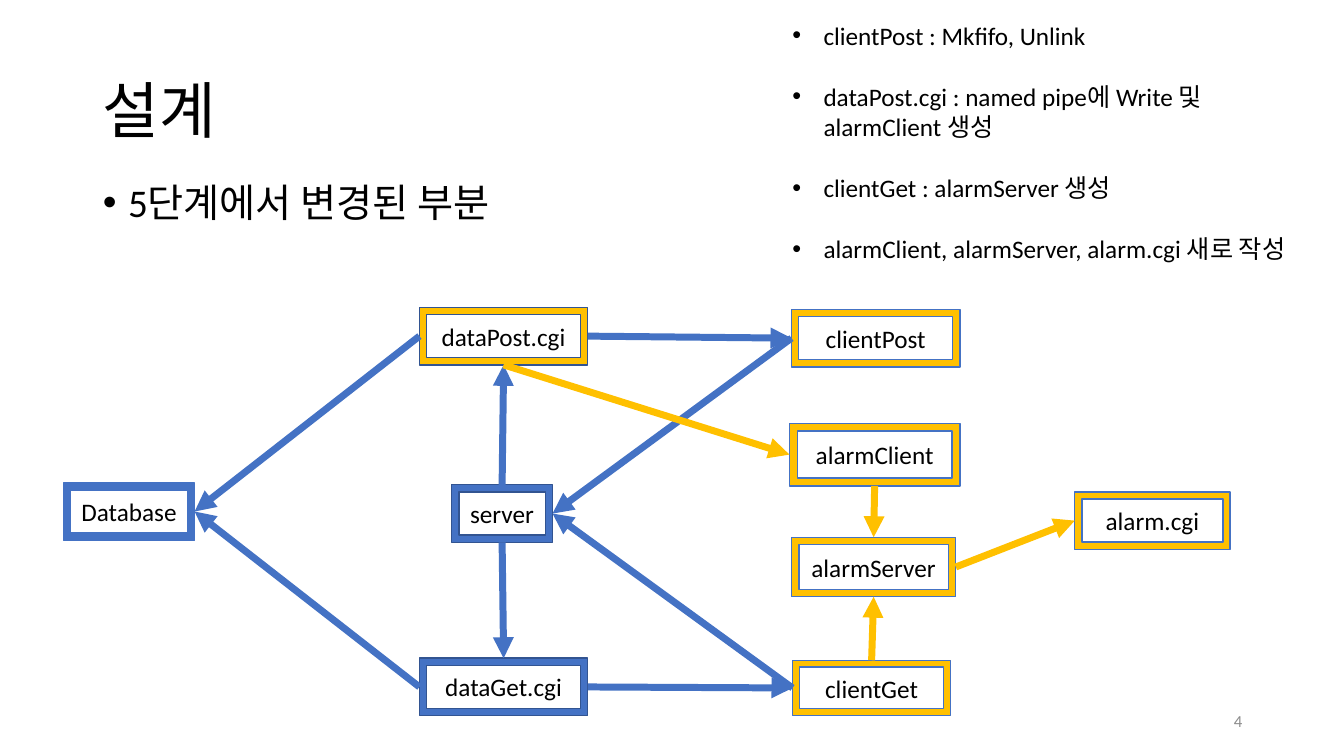
from dataclasses import dataclass

from lxml import etree
from pptx import Presentation
from pptx import util as u
from pptx.dml import color as clr
from pptx.enum import dml, shapes as sh, text as tx
from pptx.oxml import ns
from pptx.shapes import autoshape as auto, shapetree as tree
from pptx.text import text as body_text

BLACK = clr.RGBColor(0x00, 0x00, 0x00)
GRAY = clr.RGBColor(0x8C, 0x8C, 0x8C)
BLUE = clr.RGBColor(0x44, 0x72, 0xC4)
NAVY = clr.RGBColor(0x32, 0x54, 0x91)
AMBER = clr.RGBColor(0xFF, 0xC0, 0x00)
FONT = "Calibri"
TOP, LEFT, BOTTOM, RIGHT = range(4)


@dataclass(frozen=True)
class Program:
    name: str
    left: float
    top: float
    width: float
    height: float = 0.57
    fill: clr.RGBColor = AMBER
    outline: clr.RGBColor = BLUE


@dataclass(frozen=True)
class Flow:
    source: str
    source_side: int
    target: str
    target_side: int
    color: clr.RGBColor = BLUE


PROGRAMS = [
    Program("dataPost.cgi", 4.16, 3.05, 1.67, outline=NAVY),
    Program("dataGet.cgi", 4.16, 6.53, 1.67, fill=BLUE, outline=NAVY),
    Program("server", 4.48, 4.81, 1.0, fill=BLUE, outline=NAVY),
    Program("clientPost", 7.85, 3.07, 1.67),
    Program("clientGet", 7.86, 6.55, 1.57, 0.55),
    Program("Database", 0.63, 4.79, 1.3, fill=BLUE),
    Program("alarm.cgi", 10.66, 4.88, 1.54),
    Program("alarmServer", 7.85, 5.33, 1.63, 0.59),
    Program("alarmClient", 7.83, 4.2, 1.69, 0.62),
]

FLOWS = [
    Flow("clientPost", LEFT, "server", RIGHT),
    Flow("clientGet", LEFT, "server", RIGHT),
    Flow("server", TOP, "dataPost.cgi", BOTTOM),
    Flow("server", BOTTOM, "dataGet.cgi", TOP),
    Flow("dataPost.cgi", RIGHT, "clientPost", LEFT),
    Flow("dataGet.cgi", RIGHT, "clientGet", LEFT),
    Flow("dataPost.cgi", LEFT, "Database", RIGHT),
    Flow("dataGet.cgi", LEFT, "Database", RIGHT),
    Flow("dataPost.cgi", BOTTOM, "alarmClient", LEFT, AMBER),
    Flow("clientGet", TOP, "alarmServer", BOTTOM, AMBER),
    Flow("alarmClient", BOTTOM, "alarmServer", TOP, AMBER),
    Flow("alarmServer", RIGHT, "alarm.cgi", LEFT, AMBER),
]

CHANGES = [
    "clientPost : Mkfifo, Unlink",
    "dataPost.cgi : named pipe에 Write 및 alarmClient 생성",
    "clientGet : alarmServer 생성",
    "alarmClient, alarmServer, alarm.cgi 새로 작성",
]


def place(shape, left: float, top: float, width: float, height: float) -> None:
    shape.left, shape.top = u.Inches(left), u.Inches(top)
    shape.width, shape.height = u.Inches(width), u.Inches(height)


def write(paragraph: body_text._Paragraph, words: str, size: float,
          align: tx.PP_ALIGN = tx.PP_ALIGN.LEFT,
          color: clr.RGBColor = BLACK) -> None:
    paragraph.alignment = align
    run = paragraph.add_run()
    run.text = words
    run.font.size = u.Pt(size)
    run.font.name = FONT
    run.font.color.rgb = color


def add_bullet(paragraph: body_text._Paragraph, indent: float) -> None:
    props = paragraph._p.get_or_add_pPr()
    props.set("marL", str(u.Inches(indent)))
    props.set("indent", str(-u.Inches(indent)))
    etree.SubElement(props, ns.qn("a:buFont")).set("typeface", "Arial")
    etree.SubElement(props, ns.qn("a:buChar")).set("char", "•")


def draw_program(canvas: tree.SlideShapes, program: Program) -> auto.Shape:
    frame = canvas.add_shape(
        sh.MSO_SHAPE.FRAME, u.Inches(program.left), u.Inches(program.top),
        u.Inches(program.width), u.Inches(program.height))
    frame.shadow.inherit = False
    frame.fill.solid()
    frame.fill.fore_color.rgb = program.fill
    frame.line.color.rgb = program.outline
    frame.line.width = u.Pt(1)
    label = frame.text_frame
    label.margin_left = label.margin_right = 0
    label.vertical_anchor = tx.MSO_ANCHOR.MIDDLE
    write(label.paragraphs[0], program.name, 18, tx.PP_ALIGN.CENTER)
    return frame


def draw_flow(canvas: tree.SlideShapes, flow: Flow,
              frames: dict[str, auto.Shape]) -> None:
    arrow = canvas.add_connector(sh.MSO_CONNECTOR.STRAIGHT, 0, 0, 0, 0)
    arrow.begin_connect(frames[flow.source], flow.source_side)
    arrow.end_connect(frames[flow.target], flow.target_side)
    arrow.line.color.rgb = flow.color
    arrow.line.width = u.Pt(5)
    arrow.line.dash_style = dml.MSO_LINE.SOLID
    outline = arrow.line._get_or_add_ln()
    etree.SubElement(outline, ns.qn("a:tailEnd")).set("type", "triangle")
    etree.SubElement(arrow._element.spPr, ns.qn("a:effectLst"))


def main() -> None:
    deck = Presentation()
    deck.slide_width, deck.slide_height = u.Inches(13.33), u.Inches(7.5)
    slide = deck.slides.add_slide(deck.slide_layouts[1])
    canvas = slide.shapes

    title = canvas.title
    place(title, 0.92, 0.4, 11.5, 1.45)
    title.text_frame.vertical_anchor = tx.MSO_ANCHOR.MIDDLE
    heading = title.text_frame.paragraphs[0]
    heading.line_spacing = 0.9
    write(heading, "설계", 44)

    body = slide.placeholders[1]
    place(body, 0.92, 1.77, 11.5, 4.76)
    stage = body.text_frame.paragraphs[0]
    stage.line_spacing = 0.9
    stage.space_before = u.Pt(10)
    write(stage, "5단계에서 변경된 부분", 28)
    add_bullet(stage, 0.25)

    frames = {program.name: draw_program(canvas, program) for program in PROGRAMS}
    for flow in FLOWS:
        draw_flow(canvas, flow, frames)

    changes = canvas.add_textbox(
        u.Inches(7.76), u.Inches(0.15), u.Inches(5.37), u.Inches(2.52)).text_frame
    changes.word_wrap = True
    for index, change in enumerate(CHANGES):
        item = changes.add_paragraph() if index else changes.paragraphs[0]
        item.space_before = u.Pt(22 if index else 0)
        write(item, change, 18)
        add_bullet(item, 0.31)

    page_number = canvas.add_textbox(
        u.Inches(9.42), u.Inches(6.95), u.Inches(3), u.Inches(0.4)).text_frame
    page_number.word_wrap = True
    page_number.vertical_anchor = tx.MSO_ANCHOR.MIDDLE
    write(page_number.paragraphs[0], "4", 12, tx.PP_ALIGN.RIGHT, GRAY)

    deck.save("out.pptx")


if __name__ == "__main__":
    main()
